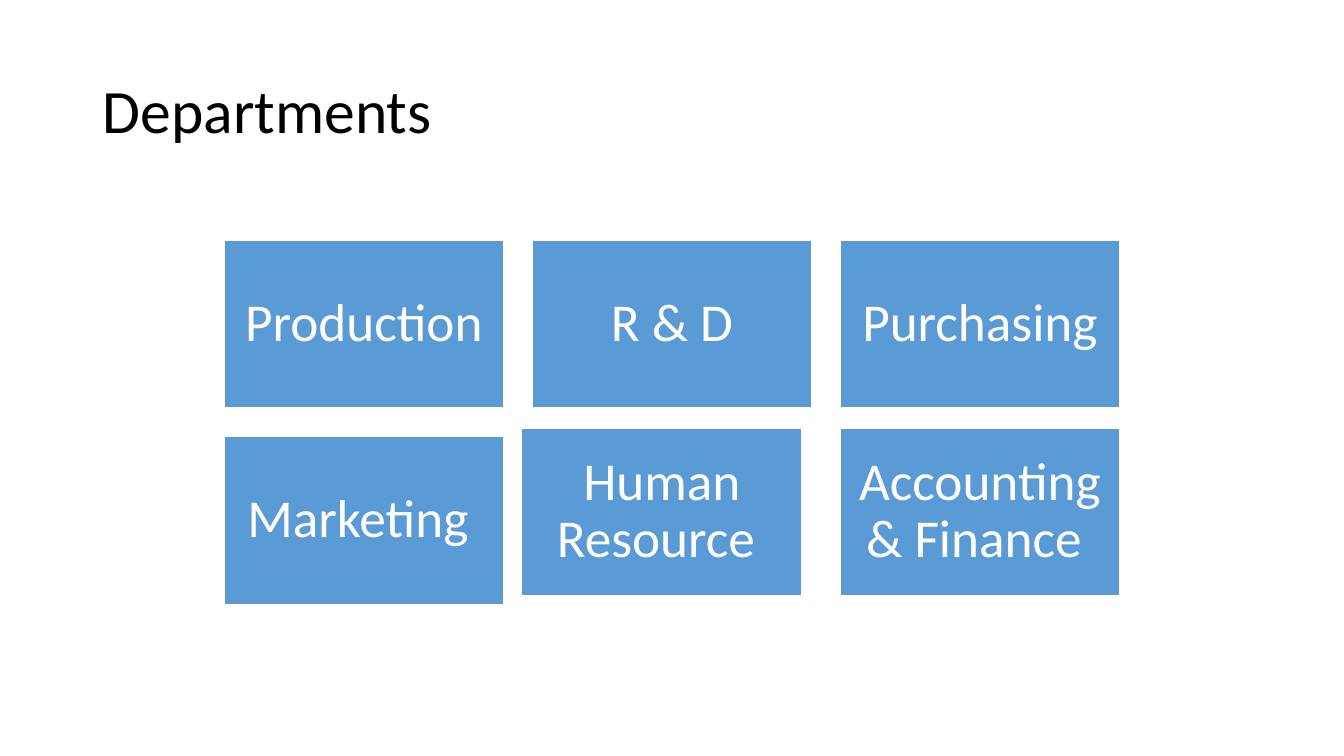
from dataclasses import dataclass

from pptx import Presentation
from pptx.dml.color import RGBColor
from pptx.enum import shapes, text
from pptx.util import Inches, Pt

TITLE = "Departments"
# name, column, row, offset (x, y) from the grid in inches
DEPARTMENTS = [
    ("Production", 0, 0, (0, 0)),
    ("R & D", 1, 0, (0, 0)),
    ("Purchasing", 2, 0, (0, 0)),
    ("Marketing ", 0, 1, (0, 0)),
    ("Human Resource ", 1, 1, (-0.1, -0.08)),
    ("Accounting & Finance ", 2, 1, (0, -0.08)),
]


@dataclass(frozen=True)
class Theme:
    font: str = "Calibri"
    title_size: int = 44
    box_size: int = 38
    black: str = "000000"
    white: str = "FFFFFF"
    blue: str = "5B9BD5"


THEME = Theme()
LEFT, TOP = 2.22, 2.38
BOX_W, BOX_H = 2.78, 1.67
GAP = 0.275
INSET = Inches(0.16)


def rgb(color):
    return RGBColor.from_string(color)


def write(tf, words, size, color, align):
    tf.text = words
    tf.word_wrap = True
    tf.auto_size = text.MSO_AUTO_SIZE.NONE
    tf.vertical_anchor = text.MSO_ANCHOR.MIDDLE
    p = tf.paragraphs[0]
    p.alignment = align
    p.line_spacing = 0.9
    p.font.name = THEME.font
    p.font.size = Pt(size)
    p.font.color.rgb = rgb(color)


def add_title(s):
    sp = s.shapes.title
    sp.left, sp.top = Inches(0.92), Inches(0.4)
    sp.width, sp.height = Inches(11.5), Inches(1.45)
    write(sp.text_frame, TITLE, THEME.title_size, THEME.black, text.PP_ALIGN.LEFT)


def add_department(group, name, col, row, offset):
    x = LEFT + col * (BOX_W + GAP) + offset[0]
    y = TOP + row * (BOX_H + GAP) + offset[1]
    sp = group.shapes.add_shape(shapes.MSO_SHAPE.RECTANGLE, Inches(x), Inches(y),
                                Inches(BOX_W), Inches(BOX_H))
    sp.shadow.inherit = False
    sp.fill.solid()
    sp.fill.fore_color.rgb = rgb(THEME.blue)
    sp.line.color.rgb = rgb(THEME.white)
    sp.line.width = Pt(1)
    tf = sp.text_frame
    tf.margin_left = tf.margin_right = tf.margin_top = tf.margin_bottom = INSET
    write(tf, name, THEME.box_size, THEME.white, text.PP_ALIGN.CENTER)


def main():
    prs = Presentation()
    prs.slide_width, prs.slide_height = Inches(13.33), Inches(7.5)
    s = prs.slides.add_slide(prs.slide_layouts[5])
    add_title(s)
    group = s.shapes.add_group_shape()
    for department in DEPARTMENTS:
        add_department(group, *department)
    prs.save("out.pptx")


if __name__ == "__main__":
    main()
